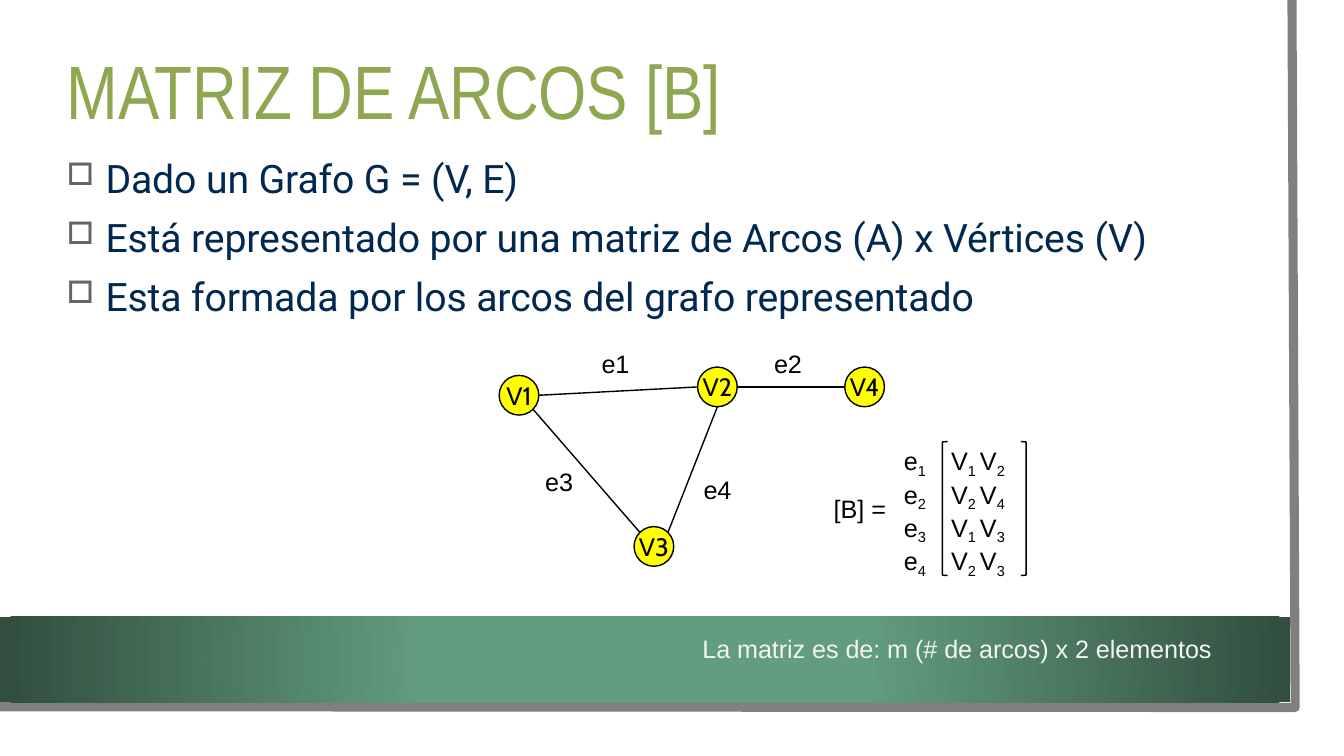
import math
from dataclasses import dataclass

import pptx
import pptx.dml.color
import pptx.enum.shapes
import pptx.enum.text
import pptx.oxml
import pptx.oxml.ns
import pptx.util
from lxml import etree
from pptx.util import Cm

HUES = {
    "page": "FFFFFF", "edge": "808080", "light": "629D7D", "dark": "314E3E",
    "title": "8FA751", "body": "002850", "bullet": "696363",
    "node": "FFFF00", "ink": "000000", "foot": "F4F4F4",
}
SHAPE = pptx.enum.shapes.MSO_SHAPE
ANCHOR = pptx.enum.text.MSO_ANCHOR
ALIGN = pptx.enum.text.PP_ALIGN
DIAM = 1.0  # node diameter, cm


@dataclass
class Node:
    name: str
    x: float
    y: float

    def rim(self, angle: float) -> tuple:
        turn = math.radians(angle)
        return (self.x + DIAM / 2 * math.cos(turn),
                self.y + DIAM / 2 * math.sin(turn))


@dataclass
class Edge:
    name: str
    start: str
    leave: float  # angle on the start rim, clockwise from the right
    end: str
    reach: float  # angle on the end rim
    x: float  # label corner
    y: float


NODES = [
    Node("V1", 13.08, 9.96), Node("V2", 18.08, 9.75),
    Node("V3", 16.48, 13.77), Node("V4", 21.79, 9.75),
]
EDGES = [
    Edge("e1", "V1", 0, "V2", 180, 15.16, 8.79),
    Edge("e2", "V2", 0, "V4", 180, 19.51, 8.79),
    Edge("e3", "V1", 45, "V3", 225, 13.74, 11.76),
    Edge("e4", "V2", 90, "V3", -45, 17.73, 11.96),
]
BULLETS = [
    "Dado un Grafo G = (V, E)",
    "Está representado por una matriz de Arcos (A) x Vértices (V)",
    "Esta formada por los arcos del grafo representado",
]


def tint(key: str):
    return pptx.dml.color.RGBColor.from_string(HUES[key])


def child(parent, tag: str, **attrs: str):
    item = etree.SubElement(parent, pptx.oxml.ns.qn(tag))
    for key, value in attrs.items():
        item.set(key, value)
    return item


def write(frame, text: str, size: float = 18, face: str = "Arial",
          hue: str = "ink", space: float = 0, gap: float = 0,
          bullet: str = "", hang: float = 0, tab: float = 0,
          anchor=ANCHOR.TOP, align=ALIGN.LEFT, wrap: bool = True) -> None:
    """Fill a frame; underscores switch subscript on and off."""
    frame.word_wrap = wrap
    frame.vertical_anchor = anchor
    frame.margin_left = frame.margin_right = 0
    frame.margin_top = frame.margin_bottom = 0
    for i, line in enumerate(text.split("\n")):
        para = frame.add_paragraph() if i else frame.paragraphs[0]
        para.alignment = align
        if i and gap:
            para.space_before = pptx.util.Pt(gap)
        props = para._p.get_or_add_pPr()
        if bullet:
            props.set("marL", str(Cm(hang)))
            props.set("indent", str(-Cm(hang)))
            child(child(props, "a:buClr"), "a:srgbClr", val=HUES["bullet"])
            child(props, "a:buSzPct", val="79000")
            child(props, "a:buChar", char=bullet)
        if tab:
            child(child(props, "a:tabLst"), "a:tab", pos=str(Cm(tab)), algn="l")
        for j, part in enumerate(line.split("_")):
            if not part:
                continue
            run = para.add_run()
            run.text = part
            run.font.size = pptx.util.Pt(size)
            run.font.name = face
            run.font.color.rgb = tint(hue)
            marks = run._r.get_or_add_rPr()
            if space:
                marks.set("spc", str(round(space * 100)))
            if j % 2:
                marks.set("baseline", "-21000")


def label(slide, x: float, y: float, w: float, h: float, text: str, **style) -> None:
    box = slide.shapes.add_textbox(Cm(x), Cm(y), Cm(w), Cm(h))
    write(box.text_frame, text, **style)


def shape(slide, kind, x: float, y: float, w: float, h: float,
          fill: str = "", line: str = ""):
    item = slide.shapes.add_shape(kind, Cm(x), Cm(y), Cm(w), Cm(h))
    item.shadow.inherit = False
    if fill:
        item.fill.solid()
        item.fill.fore_color.rgb = tint(fill)
    else:
        item.fill.background()
    if line:
        item.line.color.rgb = tint(line)
        item.line.width = pptx.util.Pt(1)
    else:
        item.line.fill.background()
    return item


def frame_page(slide) -> None:
    # White sheet with a grey edge
    shape(slide, SHAPE.RECTANGLE, 0, 0, 33.27, 18.47, fill="page")
    pen = slide.shapes.build_freeform(Cm(32.56), 0)
    pen.add_line_segments([(Cm(32.64), Cm(17.83)), (Cm(-0.08), Cm(17.81))],
                          close=False)
    rim = pen.convert_to_shape()
    rim.shadow.inherit = False
    rim.fill.background()
    rim.line.color.rgb = tint("edge")
    rim.line.width = pptx.util.Pt(6.5)

    # Green band with a radial gradient
    band = shape(slide, SHAPE.RECTANGLE, 0, 15.54, 32.51, 2.16, fill="light")
    solid = band._element.spPr.find(pptx.oxml.ns.qn("a:solidFill"))
    blend = etree.Element(pptx.oxml.ns.qn("a:gradFill"))
    stops = child(blend, "a:gsLst")
    for pos, hue in ((0, "light"), (34, "light"), (100, "dark")):
        child(child(stops, "a:gs", pos=str(pos * 1000)),
              "a:srgbClr", val=HUES[hue])
    child(child(blend, "a:path", path="circle"), "a:fillToRect",
          l="50000", t="50000", r="50000", b="50000")
    solid.getparent().replace(solid, blend)


def draw_graph(slide) -> None:
    spots = {node.name: node for node in NODES}
    for node in NODES:
        disc = shape(slide, SHAPE.OVAL, node.x - DIAM / 2, node.y - DIAM / 2,
                     DIAM, DIAM, fill="node", line="ink")
        write(disc.text_frame, node.name, face="Cabin", space=0.1,
              anchor=ANCHOR.MIDDLE, align=ALIGN.CENTER, wrap=False)
    for edge in EDGES:
        ends = spots[edge.start].rim(edge.leave) + spots[edge.end].rim(edge.reach)
        line = slide.shapes.add_connector(
            pptx.enum.shapes.MSO_CONNECTOR.STRAIGHT, *map(Cm, ends))
        line.line.color.rgb = tint("ink")
        line.line.width = pptx.util.Pt(1)
        child(line._element.spPr, "a:effectLst")
        label(slide, edge.x, edge.y, 0.76, 0.76, edge.name, space=-0.1)


def draw_matrix(slide) -> None:
    ends = {node.name: node.name[1] for node in NODES}
    rows = [f"e_{edge.name[1]}\t_V_{ends[edge.start]} _V_{ends[edge.end]}"
            for edge in EDGES]
    label(slide, 22.78, 11.23, 2.72, 3.07, "\n".join(rows), tab=1.19, space=-0.1)
    for kind, x in ((SHAPE.LEFT_BRACKET, 23.75), (SHAPE.RIGHT_BRACKET, 25.73)):
        shape(slide, kind, x, 11.13, 0.13, 3.37, line="ink")
    label(slide, 21.01, 12.42, 1.4, 0.76, "[B] =")


def main() -> None:
    deck = pptx.Presentation()
    deck.slide_width, deck.slide_height = Cm(33.87), Cm(19.05)
    slide = deck.slides.add_slide(deck.slide_layouts[6])
    frame_page(slide)
    label(slide, 1.68, 0.64, 28.88, 3.2, "MATRIZ DE ARCOS [B]", size=54,
          face="Arial Narrow", hue="title", space=-0.1, anchor=ANCHOR.MIDDLE)
    label(slide, 1.68, 3.89, 29.54, 4.24, "\n".join(BULLETS), size=28,
          face="Roboto", hue="body", space=-0.08, gap=8.6, bullet="□", hang=0.98)
    draw_graph(slide)
    draw_matrix(slide)
    label(slide, 17.7, 15.97, 13.5, 0.8,
          "La matriz es de: m (# de arcos) x 2 elementos", hue="foot", space=-0.07)
    deck.save("out.pptx")


if __name__ == "__main__":
    main()
